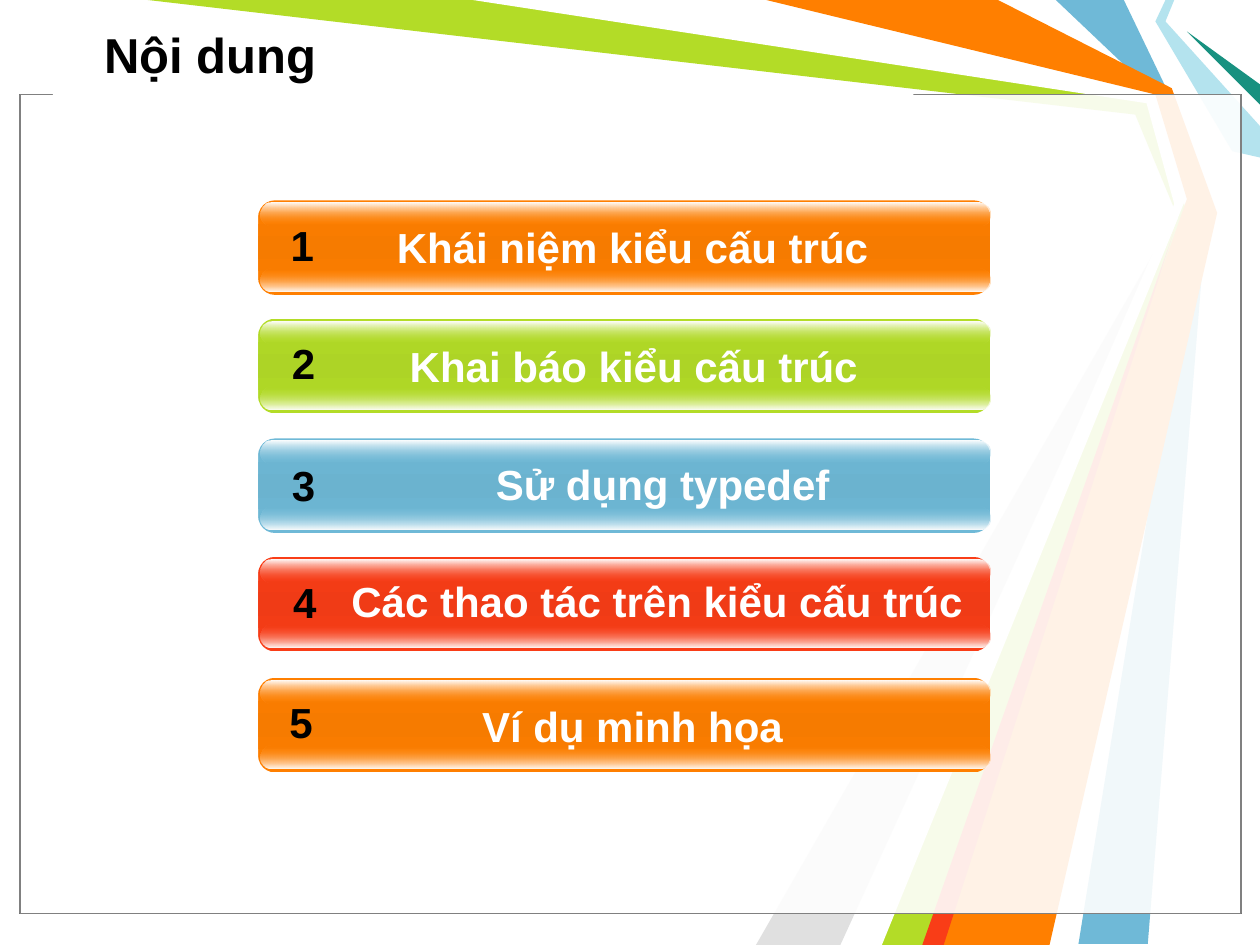
from lxml.etree import SubElement
from pptx import Presentation
from pptx.dml.color import RGBColor
from pptx.enum.shapes import MSO_SHAPE as Preset
from pptx.enum.text import MSO_ANCHOR as Anchor, PP_ALIGN as Align
from pptx.oxml.ns import qn
from pptx.util import Inches, Pt

THEME = {
    "orange": "FF7F00", "orange_mid": "F67B00",
    "green": "B3DC27", "green_mid": "ADD426",
    "blue": "6FB9D7", "blue_mid": "6BB3CF",
    "red": "F93D17", "red_mid": "F03B16",
    "white": "FFFFFF", "black": "000000", "grey": "808080",
    "silver": "E0E0E0", "aqua": "B4E3EE", "teal": "189180",
    "font": "Arial", "title_size": Pt(28), "item_size": Pt(24),
}


def add_panel(preset, box, rounding=None):
    panel = slide.shapes.add_shape(preset, *map(Inches, box))
    panel.shadow.inherit = False
    panel.line.fill.background()
    if rounding is not None:
        panel.adjustments[0] = rounding
    return panel


def paint_gradient(panel, stops):
    panel.fill.gradient()
    panel.fill.gradient_angle = 270
    stop_list = panel._element.spPr.find(qn("a:gradFill")).find(qn("a:gsLst"))
    for old_stop in list(stop_list):
        stop_list.remove(old_stop)
    for position, color, opacity in stops:
        stop = SubElement(stop_list, qn("a:gs"), pos=str(position * 1000))
        rgb = SubElement(stop, qn("a:srgbClr"), val=THEME[color])
        if opacity < 100:
            SubElement(rgb, qn("a:alpha"), val=str(opacity * 1000))


deck = Presentation()
deck.slide_width, deck.slide_height = Inches(10), Inches(7.5)
slide = deck.slides.add_slide(deck.slide_layouts[5])

ribbons = [
    ("blue", [(8.92, 0), (9.29, 0.77), (9.58, 1.67), (9.11, 7.49),
              (8.56, 7.49), (9.5, 1.67), (9.17, 0.75), (8.38, 0)]),
    ("green", [(1.17, 0), (3.83, 0), (9.14, 0.78), (9.42, 1.69),
               (7.42, 7.5), (6.92, 7.5), (9.35, 1.73), (9.01, 0.91)]),
    ("silver", [(6.67, 7.5), (9.27, 1.81), (6, 7.5)]),
    ("white", [(3.75, 0), (9.1, 0.82), (9.32, 1.62), (6.75, 7.5),
               (7, 7.5), (9.41, 1.58), (9.17, 0.75), (6, 0)]),
    ("aqua", [(9.25, 0), (9.17, 0.17), (9.78, 1.2), (10, 1.25),
              (10, 1), (9.25, 0.17), (9.32, 0)]),
    ("teal", [(10, 0.83), (9.42, 0.25), (10, 0.67)]),
    ("orange", [(6.08, 0), (7.92, 0), (9.3, 0.7), (9.66, 1.69),
                (8.33, 7.5), (7.33, 7.5), (9.42, 1.58), (9.17, 0.75)]),
    ("red", [(7.32, 7.5), (9.32, 1.83), (7.49, 7.5)]),
]
for color, corners in ribbons:
    points = [(Inches(x), Inches(y)) for x, y in corners]
    outline = slide.shapes.build_freeform(*points[0])
    outline.add_line_segments(points[1:], close=True)
    ribbon = outline.convert_to_shape()
    ribbon.shadow.inherit = False
    ribbon.fill.solid()
    ribbon.fill.fore_color.rgb = RGBColor.from_string(THEME[color])
    ribbon.line.fill.background()

for edge in ("black", "grey"):
    frame = add_panel(Preset.RECTANGLE, (0.16, 0.75, 9.69, 6.5))
    frame.fill.solid()
    frame.fill.fore_color.rgb = RGBColor.from_string(THEME["white"])
    veil = frame._element.spPr.find(qn("a:solidFill"))[0]
    SubElement(veil, qn("a:alpha"), val="69000")
    frame.line.color.rgb = RGBColor.from_string(THEME[edge])
    frame.line.width = Pt(0.75)

title_gap = add_panel(Preset.RECTANGLE, (0.42, 0.74, 6.83, 0.17))
title_gap.fill.solid()
title_gap.fill.fore_color.rgb = RGBColor.from_string(THEME["white"])

title = slide.shapes.title
slide.shapes._spTree.append(title._element)
title.left, title.top, title.width, title.height = map(Inches, (0.73, 0.08, 9.11, 0.69))
title.text_frame.text = "Nội dung"
title.text_frame.vertical_anchor = Anchor.MIDDLE
heading = title.text_frame.paragraphs[0]
heading.alignment = Align.LEFT
heading_format = {"name": THEME["font"], "size": THEME["title_size"], "bold": True}
for attribute, value in heading_format.items():
    setattr(heading.font, attribute, value)
heading.font.color.rgb = RGBColor.from_string(THEME["black"])

item_format = {"name": THEME["font"], "size": THEME["item_size"], "bold": True}
items = [
    ("Khái niệm kiểu cấu trúc", "orange", 1.59, (2.56, 1.71, 4.92), (2.19, 1.69)),
    ("Khai báo kiểu cấu trúc", "green", 2.53, (2.57, 2.65, 4.92), (2.2, 2.63)),
    ("Sử dụng typedef", "blue", 3.48, (2.67, 3.59, 5.18), (2.2, 3.6)),
    ("Các thao tác trên kiểu cấu trúc", "red", 4.42, (2.57, 4.52, 5.29), (2.21, 4.53)),
    ("Ví dụ minh họa", "orange", 5.38, (2.56, 5.51, 4.92), (2.18, 5.48)),
]
for number, (topic, color, top, topic_box, number_spot) in enumerate(items, start=1):
    bar = add_panel(Preset.ROUNDED_RECTANGLE, (2.05, top, 5.81, 0.75), 0.175)
    paint_gradient(bar, [(0, color, 100), (50, color + "_mid", 100), (100, color, 100)])
    lower_gloss = add_panel(Preset.ROUNDED_RECTANGLE, (2.07, top + 0.54, 5.79, 0.18), 0.5)
    paint_gradient(lower_gloss, [(0, color, 0), (100, "white", 100)])
    upper_gloss = add_panel(Preset.ROUNDED_RECTANGLE, (2.07, top + 0.02, 5.79, 0.18), 0.5)
    paint_gradient(upper_gloss, [(0, "white", 100), (100, color, 0)])

    for words, ink, (left, text_top, width) in (
        (topic, "white", topic_box),
        (str(number), "black", (*number_spot, 0.42)),
    ):
        caption = slide.shapes.add_textbox(*map(Inches, (left, text_top, width, 0.5)))
        caption.text_frame.word_wrap = True
        caption.text_frame.text = words
        line = caption.text_frame.paragraphs[0]
        line.alignment = Align.CENTER
        for attribute, value in item_format.items():
            setattr(line.font, attribute, value)
        line.font.color.rgb = RGBColor.from_string(THEME[ink])

deck.save("out.pptx")
